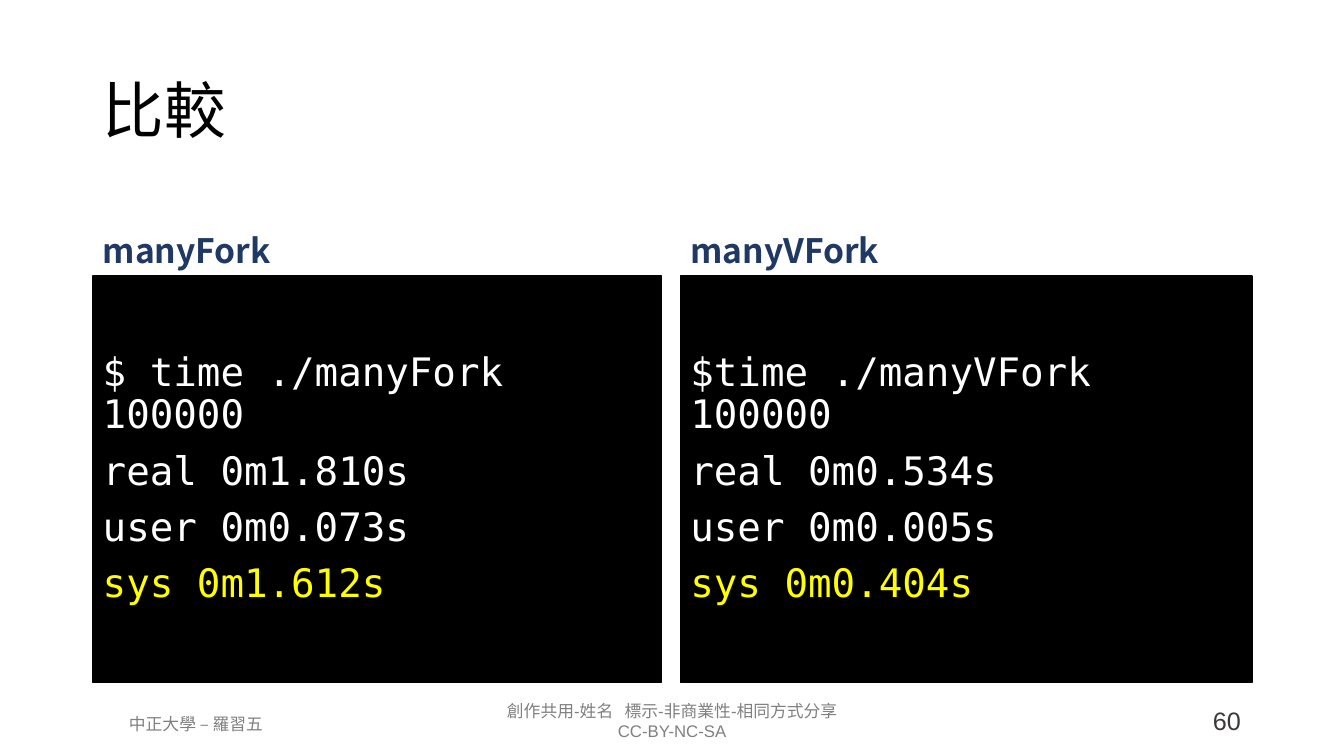
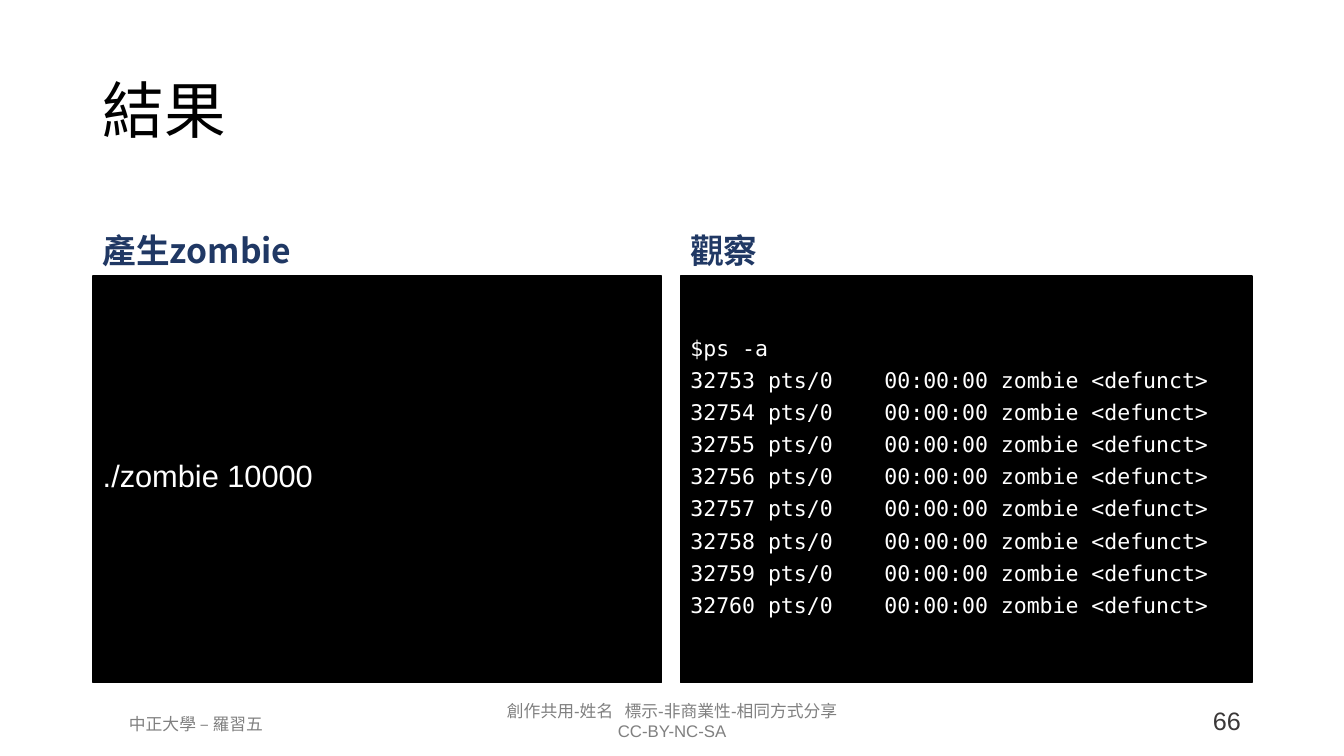
from lxml import etree
from pptx import Presentation
from pptx.dml.color import RGBColor
from pptx.enum.shapes import MSO_SHAPE
from pptx.enum.text import MSO_ANCHOR, PP_ALIGN
from pptx.oxml.ns import qn
from pptx.util import Cm, Pt

RECTANGLE = MSO_SHAPE.RECTANGLE
TOP, MIDDLE, BOTTOM = MSO_ANCHOR.TOP, MSO_ANCHOR.MIDDLE, MSO_ANCHOR.BOTTOM
LEFT, CENTER, RIGHT = PP_ALIGN.LEFT, PP_ALIGN.CENTER, PP_ALIGN.RIGHT

COLORS = {
    "title": "000000",
    "heading": "203864",
    "terminal": "000000",
    "output": "FFFFFF",
    "highlight": "FFFF00",
    "footer": "808080",
    "number": "3B3838",
}
SANS, MONO, CJK = "Arial", "DejaVu Sans Mono", "Noto Sans CJK SC"

MARGIN = 2.34
TITLE_WIDTH = 29.21
COLUMNS = [(MARGIN, 14.33), (17.15, 14.4)]
HEADING_TOP, HEADING_HEIGHT = 4.67, 2.29
TERMINAL_TOP, TERMINAL_HEIGHT = HEADING_TOP + HEADING_HEIGHT, 10.24

AUTHOR = "中正大學 – 羅習五"
LICENSE = "創作共用-姓名   標示-非商業性-相同方式分享\nCC-BY-NC-SA"

TIMING = {"size": 28, "font": MONO, "line_spacing": 0.9}
ZOMBIES = "\n".join(
    f"{pid} pts/0    00:00:00 zombie <defunct>" for pid in range(32753, 32761)
)

SLIDES = [
    {
        "title": "比較",
        "number": "60",
        "panels": [
            ("manyFork",
             "$ time ./manyFork 100000\nreal 0m1.810s\nuser 0m0.073s\nsys 0m1.612s",
             TIMING),
            ("manyVFork",
             "$time ./manyVFork 100000\nreal 0m0.534s\nuser 0m0.005s\nsys 0m0.404s",
             TIMING),
        ],
    },
    {
        "title": "結果",
        "number": "66",
        "panels": [
            ("產生zombie", "./zombie 10000",
             {"size": 22, "font": SANS, "line_spacing": 0.7}),
            ("觀察", "$ps -a\n" + ZOMBIES,
             {"size": 15.4, "font": MONO, "line_spacing": 0.7}),
        ],
    },
]


def write(shape, text, size, color, font=SANS, bold=False, align=LEFT,
          anchor=TOP, line_spacing=1.0, space_before=0):
    """Fill a shape with one paragraph per line; lines of system time stand out."""
    frame = shape.text_frame
    frame.word_wrap = True
    frame.vertical_anchor = anchor
    for index, line in enumerate(text.split("\n")):
        paragraph = frame.add_paragraph() if index else frame.paragraphs[0]
        paragraph.alignment = align
        paragraph.line_spacing = line_spacing
        paragraph.space_before = Pt(space_before if index else 0)
        run = paragraph.add_run()
        run.text = line
        run.font.size = Pt(size)
        run.font.bold = bold
        run.font.name = font
        line_color = "highlight" if line.startswith("sys ") else color
        run.font.color.rgb = RGBColor.from_string(COLORS[line_color])
        east_asian = etree.SubElement(run.font._element, qn("a:ea"))
        east_asian.set("typeface", CJK)


def add_text(slide, left, top, width, height, text, **text_format):
    box = slide.shapes.add_textbox(Cm(left), Cm(top), Cm(width), Cm(height))
    write(box, text, **text_format)


prs = Presentation()
prs.slide_width, prs.slide_height = Cm(33.87), Cm(19.05)
blank_layout = prs.slide_layouts[6]

for content in SLIDES:
    slide = prs.slides.add_slide(blank_layout)

    add_text(slide, 10.69, 17.53, 12.5, 1.27, LICENSE,
             size=12, color="footer", align=CENTER)
    add_text(slide, 1.75, 17.86, 6.38, 0.76, AUTHOR,
             size=12, color="footer", align=CENTER)
    add_text(slide, 25.3, 17.65, 6.22, 1.02, content["number"],
             size=18, color="number", align=RIGHT)
    add_text(slide, MARGIN, 1.02, TITLE_WIDTH, 3.68, content["title"],
             size=44, color="title", font=CJK, anchor=MIDDLE, line_spacing=0.9)

    for (left, width), (heading, output, output_format) in zip(COLUMNS, content["panels"]):
        add_text(slide, left, HEADING_TOP, width, HEADING_HEIGHT, heading,
                 size=24, color="heading", font=CJK, bold=True,
                 anchor=BOTTOM, line_spacing=0.9)

        terminal = slide.shapes.add_shape(
            RECTANGLE, Cm(left), Cm(TERMINAL_TOP), Cm(width), Cm(TERMINAL_HEIGHT))
        terminal.shadow.inherit = False
        terminal.fill.solid()
        terminal.fill.fore_color.rgb = RGBColor.from_string(COLORS["terminal"])
        terminal.line.color.rgb = RGBColor.from_string(COLORS["terminal"])
        terminal.line.width = Pt(1)
        write(terminal, output, color="output", anchor=MIDDLE,
              space_before=10, **output_format)

prs.save("out.pptx")
